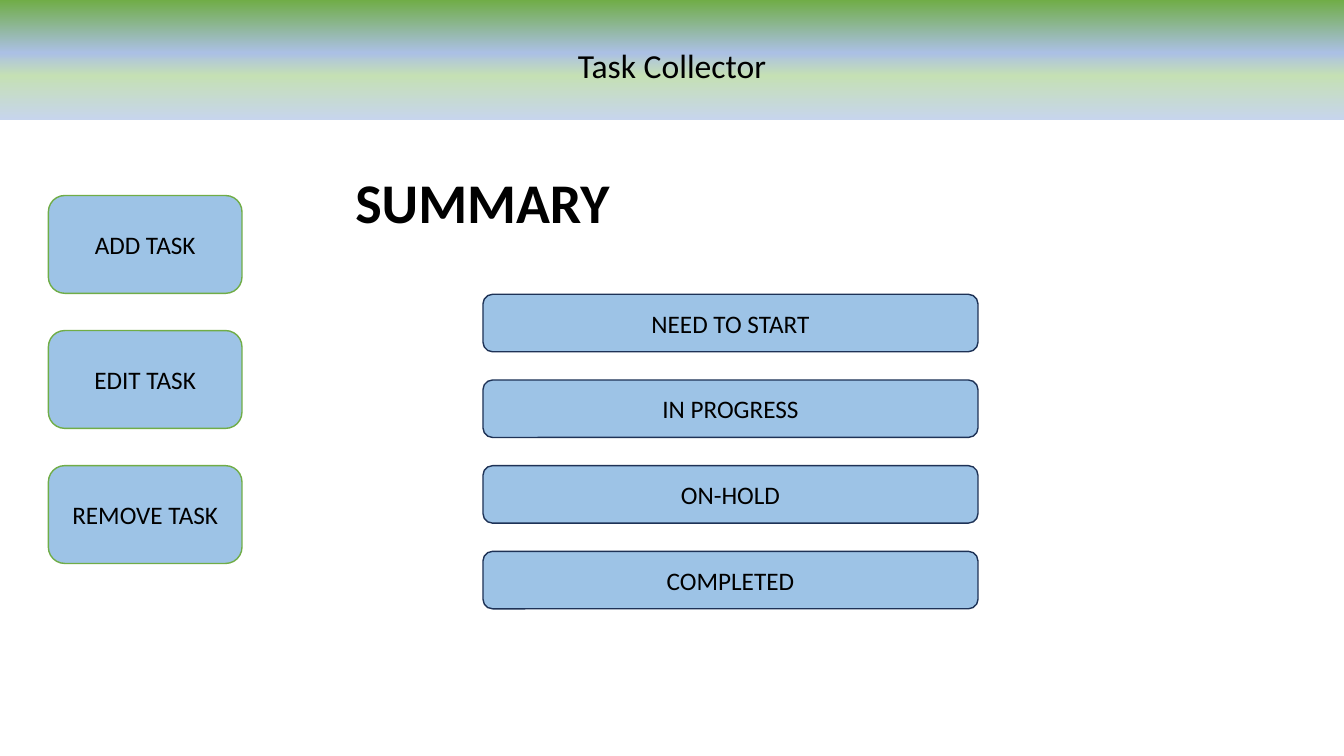
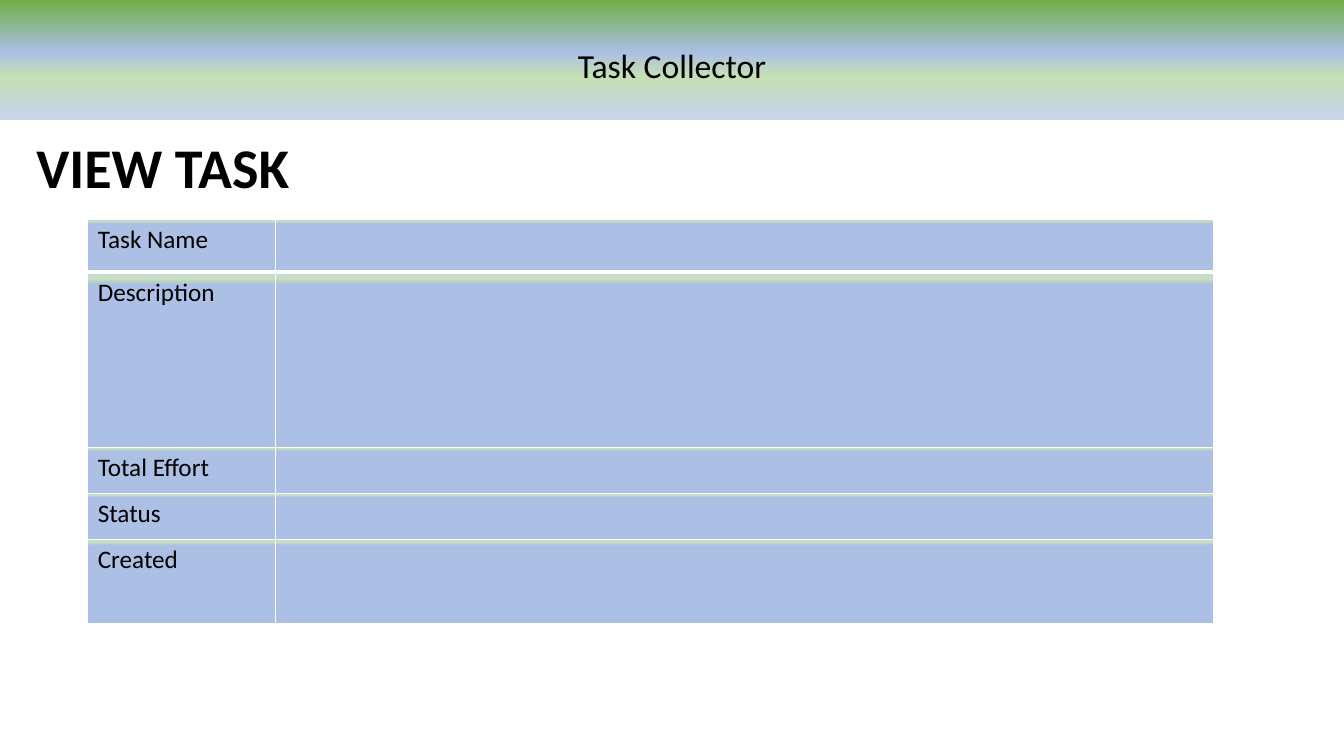
"""Build two Task Collector screens: the summary and the task view."""
from lxml import etree
from pptx import Presentation
from pptx.dml.color import RGBColor
from pptx.enum import shapes, text
from pptx.oxml import ns
from pptx.util import Inches, Pt

FONT = "Calibri"
BLACK, WHITE, BLUE, GREEN, NAVY = "000000", "FFFFFF", "9DC3E6", "70AD47", "1E3256"
BAND = [(0, GREEN), (44, "ABC0E4"), (63, "C5E0B4"), (100, "C7D5ED")]
CELL = [(0, GREEN), (0, "C7D5ED"), (4, "C5E0B4"), (7, "ABC0E4")]

BRAND = "Task Collector"
ACTIONS = ["ADD TASK", "EDIT TASK", "REMOVE TASK"]
STATES = ["NEED TO START", "IN PROGRESS", "ON-HOLD", "COMPLETED"]
FIELDS = [("Task Name", 0.52), ("Description", 1.74), ("Total Effort", 0.46),
          ("Status", 0.45), ("Created", 0.84)]
COLS = [1.86, 9.31]

RECT = shapes.MSO_SHAPE.RECTANGLE
ROUND = shapes.MSO_SHAPE.ROUNDED_RECTANGLE


def color(code):
    return RGBColor.from_string(code)


def add(parent, tag, **attrs):
    return etree.SubElement(parent, ns.qn(tag), attrs)


def shade(fill, node, stops):
    fill.gradient()
    fill.gradient_angle = 270
    grads = node.find(ns.qn("a:gradFill")).find(ns.qn("a:gsLst"))
    for stop in list(grads):
        grads.remove(stop)
    for pos, code in stops:
        stop = add(grads, "a:gs", pos=str(pos * 1000))
        add(stop, "a:srgbClr", val=code)


def write(frame, words, size, bold=False, align=text.PP_ALIGN.CENTER):
    frame.word_wrap = True
    para = frame.paragraphs[0]
    para.text = words
    para.alignment = align
    font = para.font
    font.name, font.size, font.bold = FONT, Pt(size), bold
    font.color.rgb = color(BLACK)
    return para


def box(slide, kind, area, words, size=18, fill=None, line=None, bold=False):
    shape = slide.shapes.add_shape(kind, *map(Inches, area))
    shape.shadow.inherit = False
    if fill:
        shape.fill.solid()
        shape.fill.fore_color.rgb = color(fill)
    if line:
        shape.line.color.rgb = color(line)
        shape.line.width = Pt(1)
    else:
        shape.line.fill.background()
    shape.text_frame.vertical_anchor = text.MSO_ANCHOR.MIDDLE
    write(shape.text_frame, words, size, bold)
    return shape


def stack(slide, words, area, step, line):
    left, top, width, height = area
    for i, word in enumerate(words):
        box(slide, ROUND, (left, top + i * step, width, height), word,
            fill=BLUE, line=line)


def page(deck, title, area):
    slide = deck.slides.add_slide(deck.slide_layouts[6])
    band = box(slide, RECT, (0, 0, 13.33, 1.19), BRAND, 24)
    shade(band.fill, band.element.spPr, BAND)
    band.text_frame.vertical_anchor = text.MSO_ANCHOR.TOP
    para = band.text_frame.paragraphs[0]
    para.line_spacing, para.space_before = 2.0, Pt(10)
    box(slide, RECT, area, title, 40, fill=WHITE, bold=True)
    return slide


def edge(props, sides):
    for i, (side, width) in enumerate(sides):
        line = add(props, "a:ln" + side, w=str(Pt(width)))
        add(add(line, "a:solidFill"), "a:srgbClr", val=WHITE)
        props.insert(i, line)


def form(slide, left, top):
    high = sum(height for _, height in FIELDS)
    area = map(Inches, (left, top, sum(COLS), high))
    table = slide.shapes.add_table(len(FIELDS), len(COLS), *area).table
    table.first_row = table.horz_banding = False
    for col, width in zip(table.columns, COLS):
        col.width = Inches(width)
    for r, (name, height) in enumerate(FIELDS):
        table.rows[r].height = Inches(height)
        for c, words in enumerate((name, "")):
            cell = table.cell(r, c)
            write(cell.text_frame, words, 18, align=text.PP_ALIGN.LEFT)
            props = cell._tc.get_or_add_tcPr()
            shade(cell.fill, props, CELL)
            edge(props, [("L", 1), ("R", 1), ("T", 3 if r == 1 else 1),
                         ("B", 3 if r == 0 else 1)])


def main():
    deck = Presentation()
    deck.slide_width, deck.slide_height = Inches(13.33), Inches(7.5)
    home = page(deck, "SUMMARY", (3.15, 1.57, 3.27, 0.85))
    stack(home, ACTIONS, (0.48, 1.94, 1.92, 0.97), 1.34, GREEN)
    stack(home, STATES, (4.79, 2.92, 4.91, 0.57), 0.85, NAVY)
    view = page(deck, "VIEW TASK", (0, 1.33, 3.23, 0.64))
    form(view, 0.87, 2.18)
    deck.save("out.pptx")


if __name__ == "__main__":
    main()
